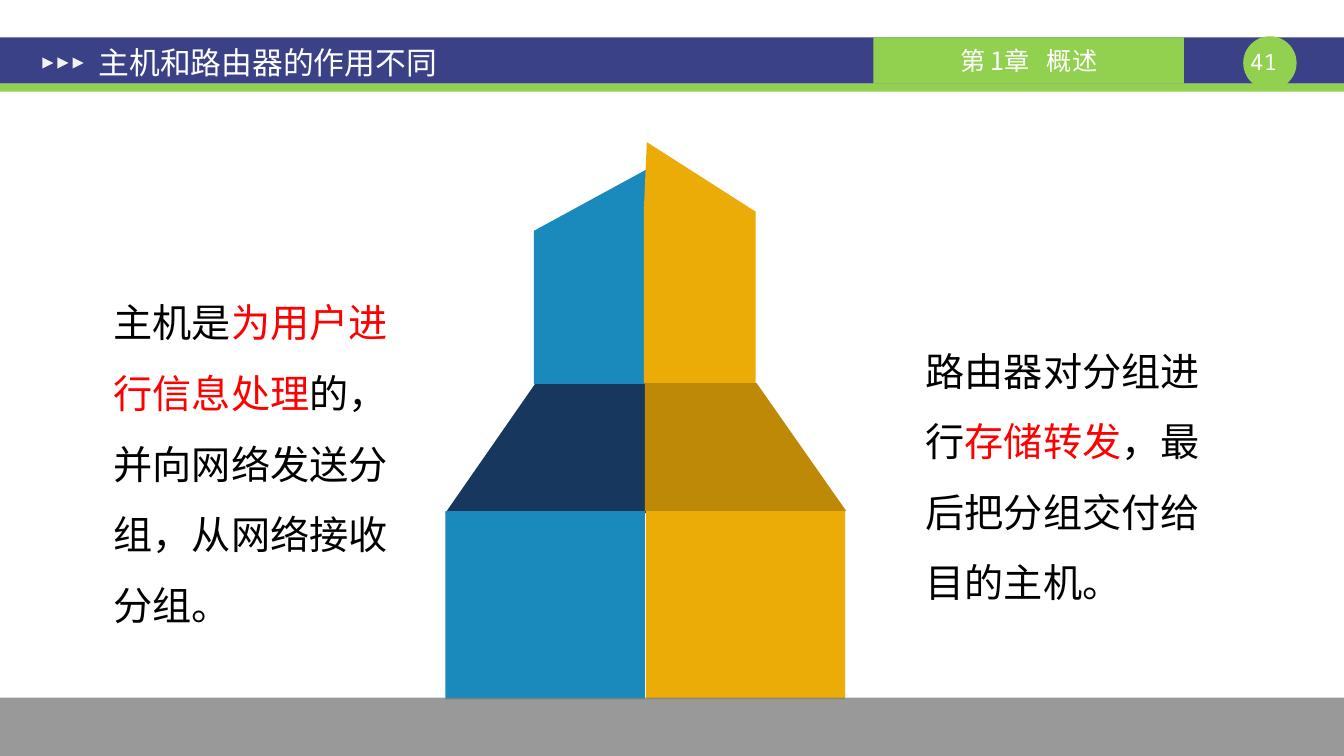
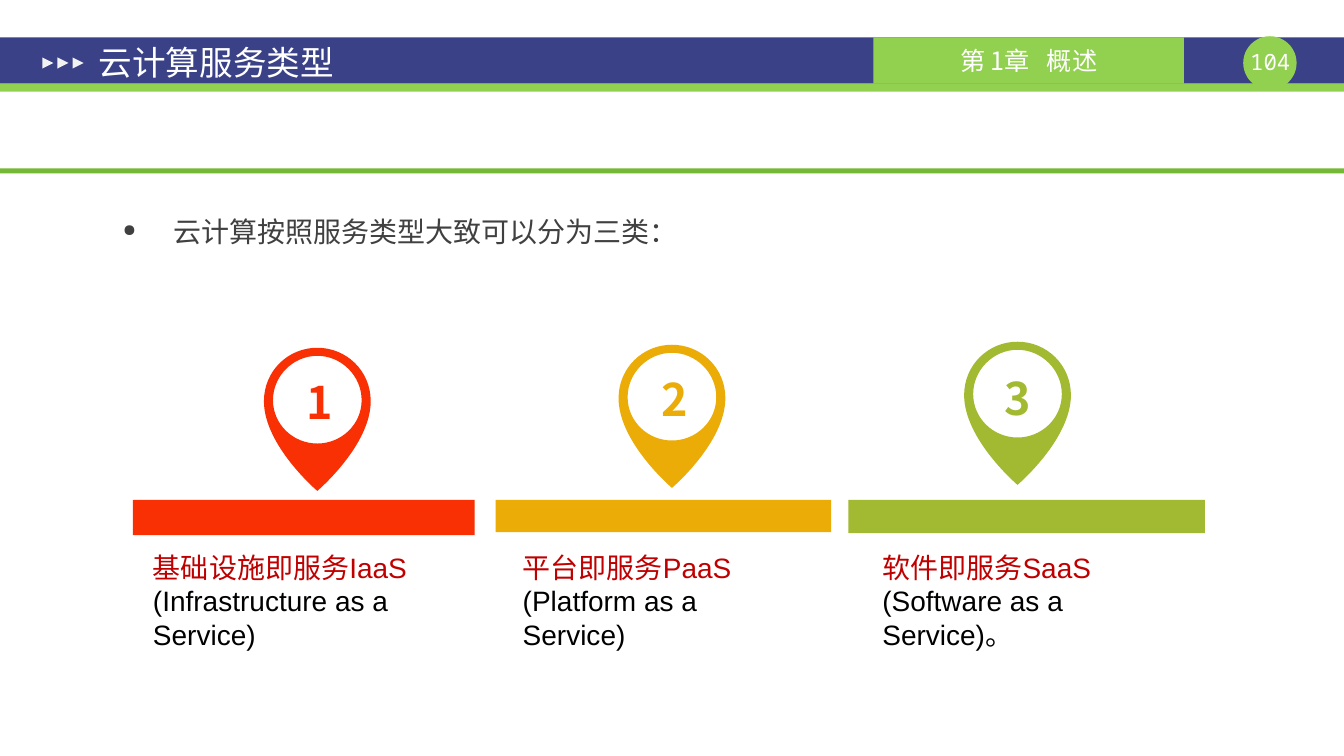
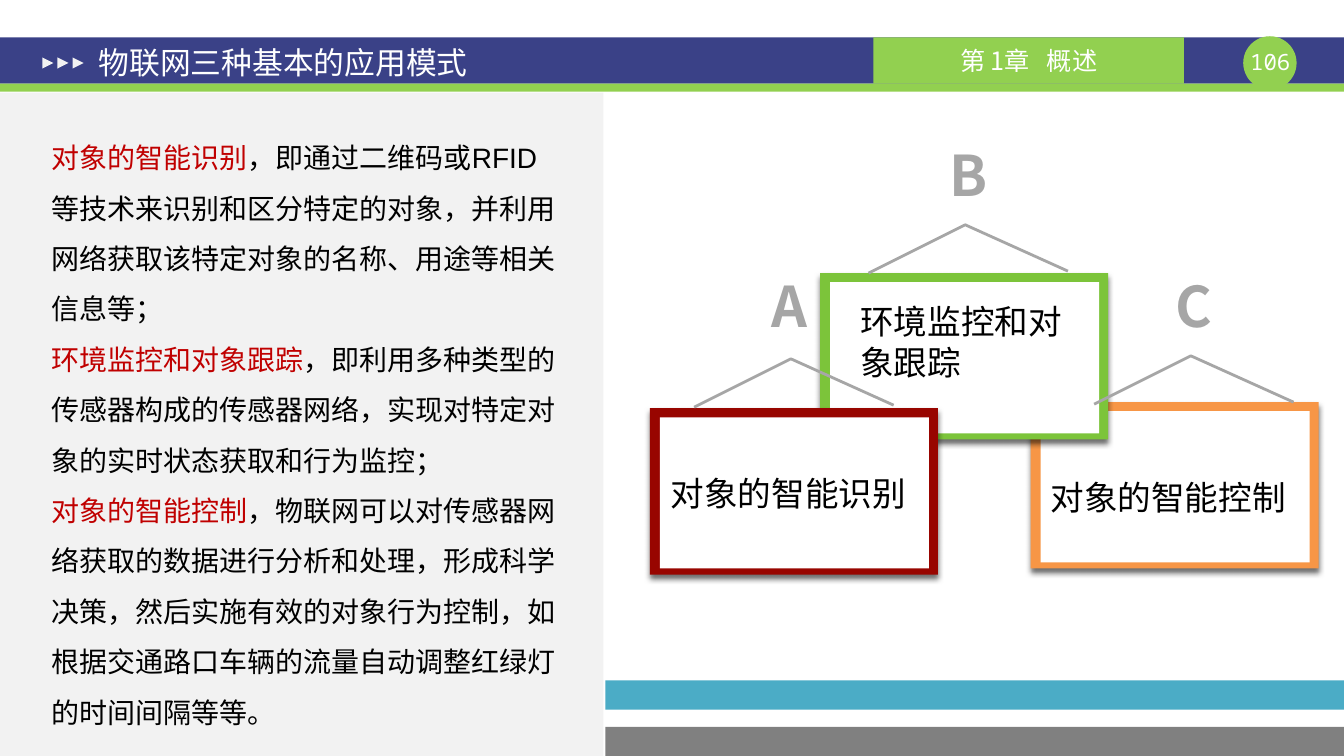
from lxml import etree
from pptx import Presentation
from pptx import util as u
from pptx.dml import color
from pptx.enum import shapes, text
from pptx.oxml import ns

PX = 9144  # 100 px to the inch
WIDTH, HEIGHT = 1334, 750
SHAPE = shapes.MSO_SHAPE
ARIAL, NOTO, MONO = "Arial", "Noto Sans CJK SC", "Noto Sans Mono"
BLACK, WHITE, RED, CRIMSON = "000000", "FFFFFF", "FF0000", "C00000"
NAVY, LIME, PALE, GREY, SILVER = "3A4187", "92D050", "F2F2F2", "808080", "A6A6A6"
BLUE, AMBER, OLIVE, ORANGE_RED = "1A8ABC", "EBAC07", "A2B932", "F83003"
rgb = color.RGBColor.from_string


def draw(page, fill, at=None, kind=SHAPE.RECTANGLE, contours=(), curved=False):
    """Add a borderless preset shape at a px box, or a freeform from px contours.

    In a curved freeform, each three points after the first make one Bezier curve.
    """
    if contours:
        builder = page.shapes.build_freeform(*contours[0][0], scale=PX)
        builder.add_line_segments(contours[0][1:])
        for contour in contours[1:]:
            builder.move_to(*contour[0])
            builder.add_line_segments(contour[1:])
        shape = builder.convert_to_shape()
    else:
        shape = page.shapes.add_shape(kind, *(n * PX for n in at))
    if curved:
        lines = shape.element.xpath(".//a:lnTo")
        for start in range(0, len(lines), 3):
            curve = etree.Element(ns.qn("a:cubicBezTo"))
            lines[start].addprevious(curve)
            for line in lines[start:start + 3]:
                curve.append(line[0])
                line.getparent().remove(line)
    shape.shadow.inherit = False
    shape.fill.solid()
    shape.fill.fore_color.rgb = rgb(fill)
    shape.line.fill.background()
    return shape


def write(page, at, paragraphs, size, font=ARIAL, bold=False, align="LEFT", spacing=1.0,
          margins=(10, 5), anchor="TOP", bullet=None, box=None):
    """Fill a box, new unless given, with paragraphs made of (text, colour) spans."""
    box = box or page.shapes.add_textbox(0, 0, 0, 0)
    box.left, box.top, box.width, box.height = (n * PX for n in at)
    frame = box.text_frame
    frame.word_wrap = True
    frame.auto_size = text.MSO_AUTO_SIZE.NONE
    frame.vertical_anchor = text.MSO_ANCHOR[anchor]
    frame.margin_left = frame.margin_right = margins[0] * PX
    frame.margin_top = frame.margin_bottom = margins[1] * PX
    for number, spans in enumerate(paragraphs):
        para = frame.add_paragraph() if number else frame.paragraphs[0]
        para.alignment = text.PP_ALIGN[align]
        para.line_spacing = spacing
        if bullet:
            properties = para._p.get_or_add_pPr()
            properties.set("marL", str(50 * PX))
            properties.set("indent", str(-50 * PX))
            etree.SubElement(properties, ns.qn("a:buSzPct")).set("val", "60000")
            etree.SubElement(properties, ns.qn("a:buChar")).set("char", bullet)
        para.font.name = font
        para.font.size = u.Pt(size)
        para.font.bold = bold
        for words, ink in spans:
            span = para.add_run()
            span.text = words
            span.font.color.rgb = rgb(ink)
    for defaults in box.element.iter(ns.qn("a:defRPr")):
        etree.SubElement(defaults, ns.qn("a:ea")).set("typeface", NOTO)
    return box


deck = Presentation()
deck.slide_width, deck.slide_height = WIDTH * PX, HEIGHT * PX
layout = deck.slide_layouts[5]
pages = [deck.slides.add_slide(layout) for _ in range(3)]
host_page, cloud_page, things_page = pages

# Header, drawn once and moved to the layout
draw(host_page, NAVY, (0, 37, WIDTH, 46))
draw(host_page, LIME, (0, 83, WIDTH, 8))
draw(host_page, LIME, (1234, 36, 53, 53), SHAPE.OVAL)
chapter_at = (867, 37, 308, 46)
chapter = write(host_page, chapter_at, [[("第 1章", WHITE), (" ", WHITE), ("概述", WHITE)]],
                18, NOTO, align="CENTER", anchor="MIDDLE",
                box=draw(host_page, LIME, chapter_at))
chapter_gap = chapter.text_frame.paragraphs[0].runs[1]
chapter_gap._r.get_or_add_rPr().set("spc", "800")
for column in range(3):
    draw(host_page, PALE, (42 + 15 * column, 57, 11, 11), SHAPE.ISOSCELES_TRIANGLE).rotation = 90
header = [shape for shape in host_page.shapes if not shape.is_placeholder]
for number, shape in enumerate(header, 100):
    shape.element.xpath("./p:nvSpPr/p:cNvPr")[0].set("id", str(number))
    layout.shapes.element.append(shape.element)

for page, title, size, number in [
    (host_page, "主机和路由器的作用不同", 22, "41"),
    (cloud_page, "云计算服务类型", 24, "104"),
    (things_page, "物联网三种基本的应用模式", 22, "106"),
]:
    write(page, (85, 38, 682, 47), [[(title, WHITE)]], size, margins=(13, 7),
          anchor="MIDDLE", box=page.shapes.title)
    write(page, (1241, 48, 46, 27), [[(number, WHITE)]], 16, MONO, margins=(0, 0))

# Hosts and routers
for fill, contour in [
    (BLUE, [(640, 229), (640, 381), (530, 381), (530, 229), (642, 168)]),
    (AMBER, [(639, 210), (639, 380), (750, 380), (750, 210), (642, 141)]),
    ("17375E", [(442, 509), (531, 381), (641, 381), (641, 509), (444, 508)]),
    ("BE8906", [(840, 507), (751, 380), (640, 380), (640, 507), (837, 507)]),
]:
    draw(host_page, fill, contours=[contour])
draw(host_page, BLUE, (442, 507, 198, 187))
draw(host_page, AMBER, (641, 507, 198, 187))
write(host_page, (909, 316, 315, 284), [[
    ("路由器对分组进行", BLACK), ("存储转发", RED), ("，最后把分组交付给目的主机。", BLACK),
]], 28, spacing=1.5)
write(host_page, (103, 268, 296, 355), [[
    ("主机是", BLACK), ("为用户进行信息处理", RED),
    ("的，并向网络发送分组，从网络接收分组。", BLACK),
]], 28, spacing=1.5)
ground = draw(host_page, GREY, (0, 692, WIDTH, 58))
ground_ink = ground.element.xpath(".//a:srgbClr")[0]
etree.SubElement(ground_ink, ns.qn("a:alpha")).set("val", "80000")

# Cloud services
draw(cloud_page, "74B836", (0, 167, WIDTH, 5))
write(cloud_page, (109, 199, 1072, 76), [[("云计算按照服务类型大致可以分为三类：", "404040")]], 20,
      spacing=1.2, margins=(13, 7), bullet="●")

# Left half of each pin contour, from top to bottom; the right half mirrors it
pin_contours = []
for half in [
    [(0, 0), (-29, 0), (-53, 23), (-53, 53), (-53, 97), (0, 142), (0, 142)],
    [(0, 8), (-24, 8), (-44, 28), (-44, 52), (-44, 76), (-24, 95), (0, 95)],
]:
    pin_contours.append(half + [(-x, y) for x, y in reversed(half[:-1])])

for digit, fill, pin_x, pin_y, digit_at, bar, label_at, name, meaning in [
    ("3", OLIVE, 1010, 339, (986, 363), (842, 354, 33), (866, 316),
     "软件即服务SaaS ", "(Software as a Service)。"),
    ("2", AMBER, 667, 342, (646, 364), (492, 333, 32), (509, 300),
     "平台即服务PaaS ", "(Platform as a Service)"),
    ("1", ORANGE_RED, 315, 345, (293, 367), (132, 339, 35), (142, 329),
     "基础设施即服务IaaS ", "(Infrastructure as a Service)"),
]:
    draw(cloud_page, fill, curved=True,
         contours=[[(pin_x + x, pin_y + y) for x, y in contour] for contour in pin_contours])
    bar_x, bar_width, bar_height = bar
    draw(cloud_page, fill, (bar_x, 496, bar_width, bar_height))
    write(cloud_page, (*digit_at, 48, 64), [[(digit, fill)]], 32, NOTO, bold=True,
          align="CENTER", margins=(0, 5))
    label_x, label_width = label_at
    write(cloud_page, (label_x, 541, label_width, 111),
          [[(name, CRIMSON), (meaning, BLACK)]], 20)

# Internet of things
draw(things_page, PALE, (0, 92, 599, 658))
write(things_page, (41, 118, 526, 616), [
    [("对象的智能识别", CRIMSON),
     ("，即通过二维码或RFID等技术来识别和区分特定的对象，并利用网络获取该特定对象的名称、用途等相关信息等；", BLACK)],
    [("环境监控和对象跟踪", CRIMSON),
     ("，即利用多种类型的传感器构成的传感器网络，实现对特定对象的实时状态获取和行为监控；", BLACK)],
    [("对象的智能控制", CRIMSON),
     ("，物联网可以对传感器网络获取的数据进行分析和处理，形成科学决策，然后实施有效的对象行为控制，"
      "如根据交通路口车辆的流量自动调整红绿灯的时间间隔等等。", BLACK)],
], 20, spacing=1.5)

for fill, x, y in [("F79646", 1023, 399), ("7CC43A", 814, 271), ("980500", 645, 405)]:
    board = draw(things_page, fill, (x, y, 286, 165))
    effects = board.element.spPr.find(ns.qn("a:effectLst"))
    shadow = etree.SubElement(effects, ns.qn("a:outerShdw"), blurRad="50800", dist="38100",
                              dir="5400000", algn="t", rotWithShape="0")
    shadow_ink = etree.SubElement(shadow, ns.qn("a:srgbClr"), val=BLACK)
    etree.SubElement(shadow_ink, ns.qn("a:alpha"), val="57000")
    draw(things_page, WHITE, (x + 10, y + 9, 267, 150))

for letter, letter_at, (x, y), caption, caption_at in [
    ("A", (753, 264), (689, 356), "对象的智能识别", (656, 464, 255, 50)),
    ("B", (930, 134), (862, 223), "环境监控和对象跟踪", (844, 294, 225, 91)),
    ("C", (1154, 264), (1086, 353), "对象的智能控制", (1033, 468, 267, 50)),
]:
    builder = things_page.shapes.build_freeform(x, y + 48, scale=PX)
    builder.add_line_segments([(x + 96, y), (x + 198, y + 46)], close=False)
    hanger = builder.convert_to_shape()
    hanger.shadow.inherit = False
    hanger.fill.background()
    hanger.line.color.rgb = rgb(SILVER)
    hanger.line.width = u.Pt(2)
    write(things_page, (*letter_at, 62, 77), [[(letter, SILVER)]], 40, NOTO, bold=True,
          align="CENTER")
    write(things_page, caption_at, [[(caption, BLACK)]], 24, NOTO)

draw(things_page, GREY, (601, 721, 733, 29))
draw(things_page, "4BACC6", (601, 675, 733, 29))

deck.save("out.pptx")
